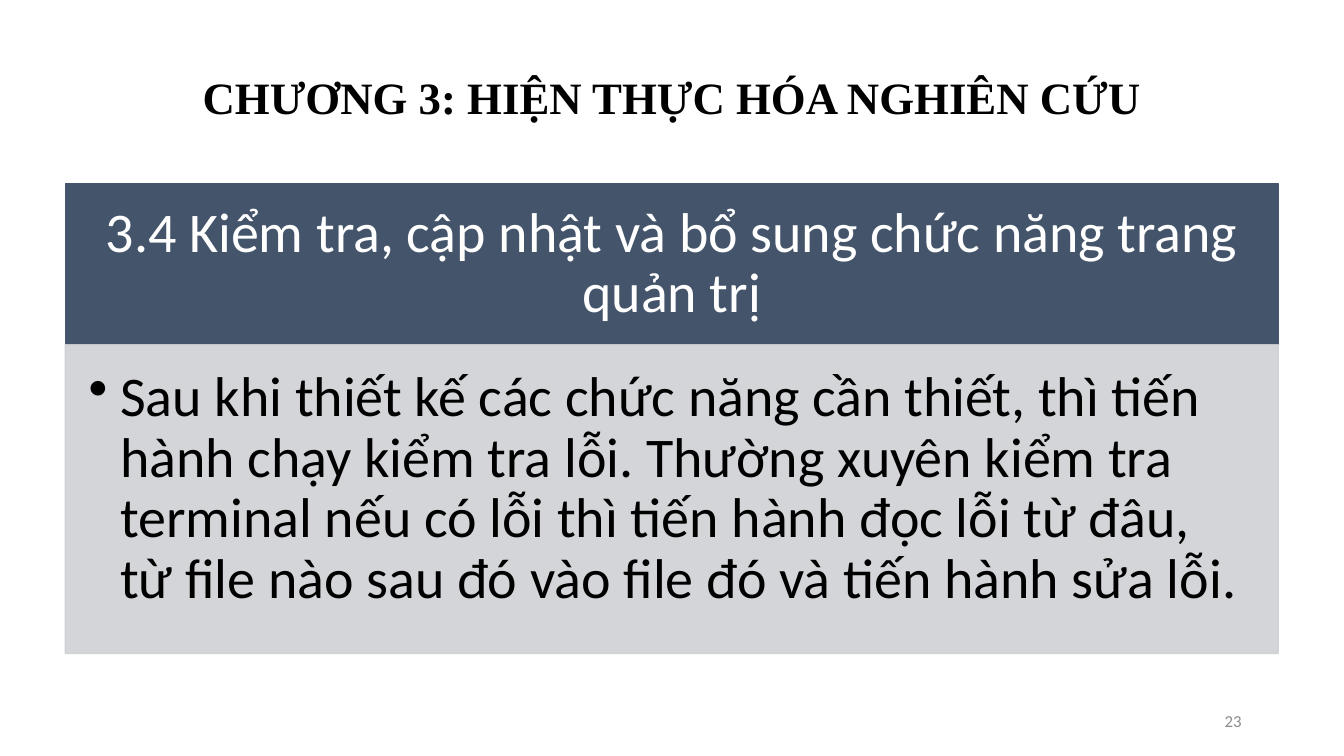
"""Build the chapter 3 slide on checking and extending the admin page."""
from dataclasses import dataclass
from typing import Optional

from lxml.etree import SubElement
from pptx import Presentation
from pptx.dml.color import RGBColor
from pptx.enum.shapes import MSO_SHAPE
from pptx.enum.text import MSO_ANCHOR, PP_ALIGN
from pptx.oxml.ns import qn
from pptx.util import Pt

COLORS = {
    "heading": "44546A",
    "panel": "CFD1D4",
    "white": "FFFFFF",
    "black": "000000",
    "number": "8C8C8C",
}


@dataclass
class Block:
    text: str
    box: tuple[float, float, float, float]
    size: float
    color: str
    align: PP_ALIGN
    anchor: MSO_ANCHOR
    insets: tuple[float, float, float, float] = (7.2, 3.6, 7.2, 3.6)
    font: str = "Calibri"
    bold: bool = False
    spacing: float = 0.9
    fill: Optional[str] = None
    opacity: int = 100
    bullet_indent: float = 0


BLOCKS = [
    Block("CHƯƠNG 3: HIỆN THỰC HÓA NGHIÊN CỨU", (120, 54.5, 720, 37.5), 32,
          "black", PP_ALIGN.CENTER, MSO_ANCHOR.BOTTOM,
          font="Times New Roman", bold=True),
    Block("3.4 Kiểm tra, cập nhật và bổ sung chức năng trang quản trị",
          (46.6, 131.5, 866.5, 114.8), 40, "white", PP_ALIGN.CENTER,
          MSO_ANCHOR.MIDDLE, (22.4, 12.8, 22.4, 12.8), fill="heading"),
    Block("Sau khi thiết kế các chức năng cần thiết, thì tiến hành chạy kiểm "
          "tra lỗi. Thường xuyên kiểm tra terminal nếu có lỗi thì tiến hành "
          "đọc lỗi từ đâu, từ file nào sau đó vào file đó và tiến hành sửa lỗi.",
          (46.6, 246.3, 866.5, 220.5), 40, "black", PP_ALIGN.LEFT,
          MSO_ANCHOR.TOP, (16.8, 16.8, 22.4, 25.2), fill="panel",
          opacity=90, bullet_indent=22.5),
    Block("23", (678, 500.5, 216, 28.8), 12, "number", PP_ALIGN.RIGHT,
          MSO_ANCHOR.MIDDLE, spacing=1),
]


def rgb(name: str) -> RGBColor:
    """Return the named colour."""
    return RGBColor.from_string(COLORS[name])


def paint(sp, name: str, opacity: int) -> None:
    """Give a shape the same fill and outline colour."""
    sp.shadow.inherit = False
    sp.line.width = Pt(1)
    for fill in (sp.fill, sp.line.fill):
        fill.solid()
        fill.fore_color.rgb = rgb(name)
    if opacity < 100:
        for color in sp._element.spPr.iter(qn("a:srgbClr")):
            SubElement(color, qn("a:alpha"), val=str(opacity * 1000))


def add_bullet(p, indent: float) -> None:
    """Set a hanging bullet on a paragraph."""
    pPr = p._p.get_or_add_pPr()
    pPr.set("marL", str(Pt(indent)))
    pPr.set("indent", str(-Pt(indent)))
    SubElement(pPr, qn("a:buChar"), char="•")


def add_block(s, block: Block) -> None:
    """Draw one text block, with a filled rectangle where it has a fill."""
    box = [Pt(v) for v in block.box]
    if block.fill:
        sp = s.shapes.add_shape(MSO_SHAPE.RECTANGLE, *box)
        paint(sp, block.fill, block.opacity)
    else:
        sp = s.shapes.add_textbox(*box)
    tf = sp.text_frame
    tf.word_wrap = True
    tf.vertical_anchor = block.anchor
    (tf.margin_left, tf.margin_top,
     tf.margin_right, tf.margin_bottom) = [Pt(v) for v in block.insets]
    p = tf.paragraphs[0]
    p.alignment = block.align
    p.line_spacing = block.spacing
    if block.bullet_indent:
        add_bullet(p, block.bullet_indent)
    r = p.add_run()
    r.text = block.text
    r.font.name = block.font
    r.font.size = Pt(block.size)
    r.font.bold = block.bold
    r.font.color.rgb = rgb(block.color)


def main() -> None:
    """Create and save the presentation."""
    prs = Presentation()
    prs.slide_width, prs.slide_height = Pt(960), Pt(540)
    s = prs.slides.add_slide(prs.slide_layouts[6])
    for block in BLOCKS:
        add_block(s, block)
    prs.save("out.pptx")


if __name__ == "__main__":
    main()
